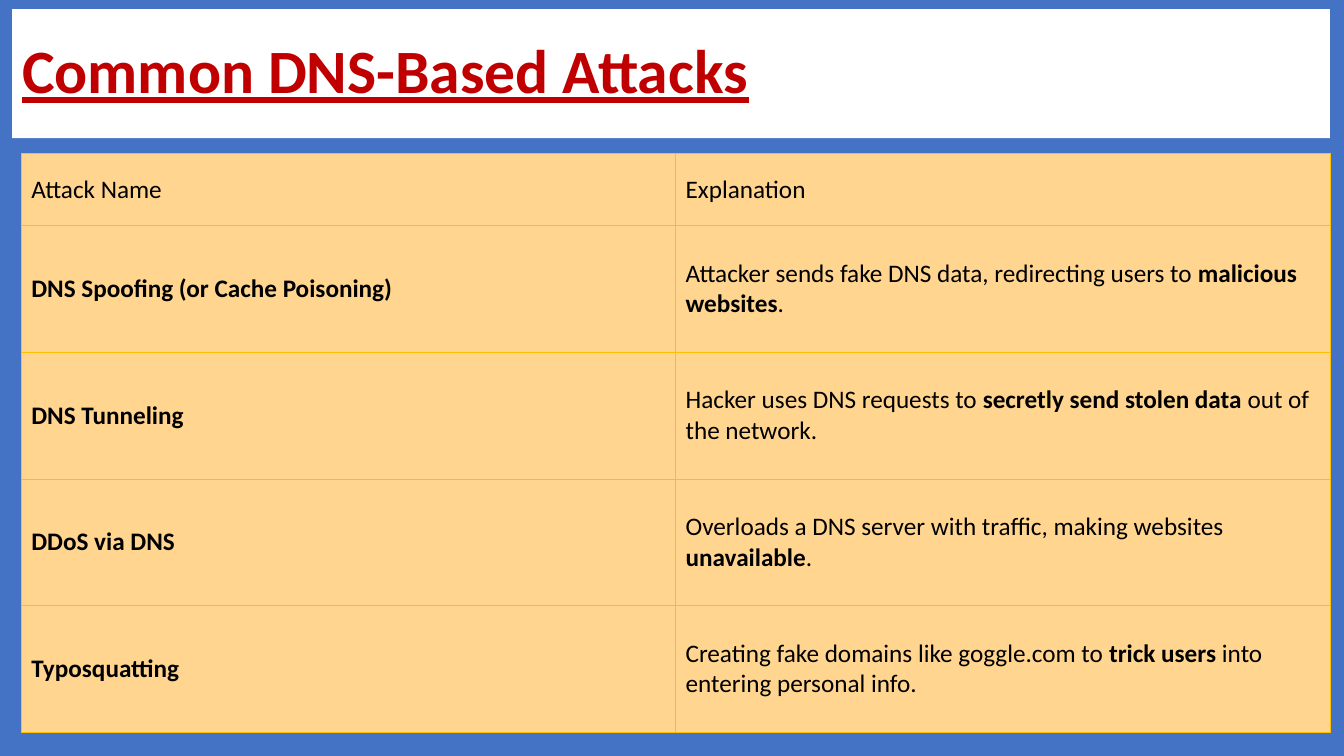
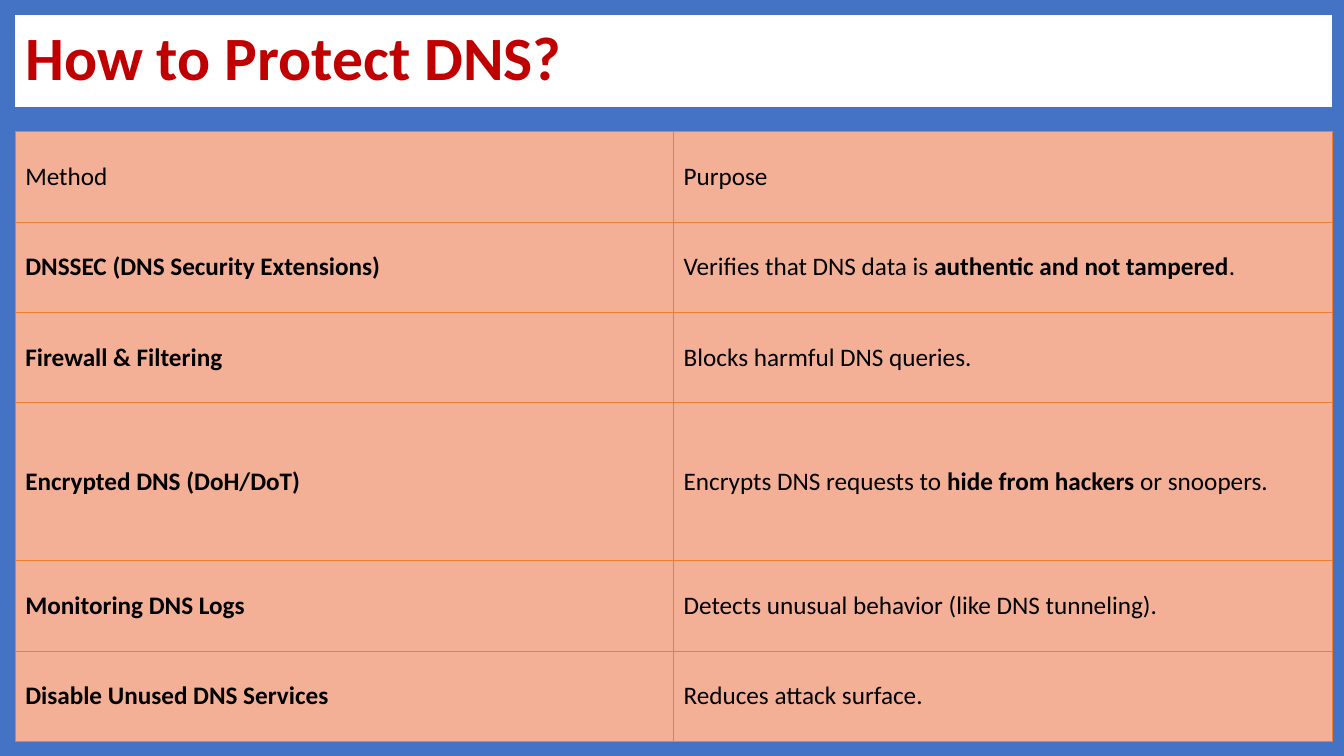
"""Build two slides on DNS attacks and defences, each a title band over a table."""
from pptx import Presentation, util as u
from pptx.dml.color import RGBColor
from pptx.enum import text
from pptx.oxml import parse_xml
from pptx.oxml.ns import nsdecls

FACE, BACK, BAND, RED, INK = "Calibri", "4472C4", "FFFFFF", "C00000", "000000"

deck = Presentation()
deck.slide_width, deck.slide_height = u.Inches(13.33), u.Inches(7.5)


def paint(fill, tone):
    """Fill something with a solid hex colour."""
    fill.solid()
    fill.fore_color.rgb = RGBColor.from_string(tone)


def place(x, y, w, h):
    """Turn percentages of the slide into left, top, width and height."""
    wide, high = deck.slide_width / 100, deck.slide_height / 100
    return [round(n) for n in (x * wide, y * high, w * wide, h * high)]


paint(deck.slide_master.background.fill, BACK)

pages = [
    dict(
        title="Common DNS-Based Attacks", line=True,
        band=(0.9, 1.2, 98.05, 17.07), grid=(1.58, 20.27, 97.37, 76.6),
        tint="FFD58F", edge="FFC000", parts=[4, 7, 7, 7, 7],
        rows=[
            ("Attack Name", "Explanation"),
            ("*DNS Spoofing (or Cache Poisoning)*",
             "Attacker sends fake DNS data, redirecting users to *malicious websites*."),
            ("*DNS Tunneling*",
             "Hacker uses DNS requests to *secretly send stolen data* out of the network."),
            ("*DDoS via DNS*",
             "Overloads a DNS server with traffic, making websites *unavailable*."),
            ("*Typosquatting*",
             "Creating fake domains like goggle.com to *trick users* into entering personal info."),
        ]),
    dict(
        title="How to Protect DNS?", line=False,
        band=(1.13, 2, 97.97, 12.13), grid=(1.13, 17.4, 97.97, 80.67),
        tint="F4B096", edge="ED7D31", parts=[4, 4, 4, 7, 4, 4],
        rows=[
            ("Method", "Purpose"),
            ("*DNSSEC (DNS Security Extensions)*",
             "Verifies that DNS data is *authentic and not tampered*."),
            ("*Firewall & Filtering*", "Blocks harmful DNS queries."),
            ("*Encrypted DNS (DoH/DoT)*",
             "Encrypts DNS requests to *hide from hackers* or snoopers."),
            ("*Monitoring DNS Logs*", "Detects unusual behavior (like DNS tunneling)."),
            ("*Disable Unused DNS Services*", "Reduces attack surface."),
        ]),
]

for page in pages:
    slide = deck.slides.add_slide(deck.slide_layouts[5])
    head = slide.shapes.title
    head.left, head.top, head.width, head.height = place(*page["band"])
    paint(head.fill, BAND)
    frame = head.text_frame
    frame.text = page["title"]
    frame.word_wrap = True
    frame.auto_size = text.MSO_AUTO_SIZE.NONE
    frame.vertical_anchor = text.MSO_ANCHOR.MIDDLE
    para = frame.paragraphs[0]
    para.alignment = text.PP_ALIGN.LEFT
    para.line_spacing = 0.9
    font = para.runs[0].font
    font.name, font.size, font.bold = FACE, u.Pt(44), True
    font.underline = page["line"]
    paint(font.fill, RED)

    box = place(*page["grid"])
    table = slide.shapes.add_table(len(page["rows"]), 2, *box).table
    table.first_row = table.horz_banding = False
    for row, part in zip(table.rows, page["parts"]):
        row.height = round(box[3] * part / sum(page["parts"]))

    for r, row in enumerate(page["rows"]):
        for c, words in enumerate(row):
            cell = table.cell(r, c)
            cell.vertical_anchor = text.MSO_ANCHOR.MIDDLE
            paint(cell.fill, page["tint"])
            for i, side in enumerate("LRTB"):
                cell._tc.get_or_add_tcPr().insert(i, parse_xml(
                    f'<a:ln{side} {nsdecls("a")} w="6350"><a:solidFill>'
                    f'<a:srgbClr val="{page["edge"]}"/></a:solidFill></a:ln{side}>'))
            para = cell.text_frame.paragraphs[0]
            for i, piece in enumerate(words.split("*")):
                if piece:
                    run = para.add_run()
                    run.text = piece
                    font = run.font
                    font.name, font.size, font.bold = FACE, u.Pt(18), i % 2 == 1
                    paint(font.fill, INK)

deck.save("out.pptx")
